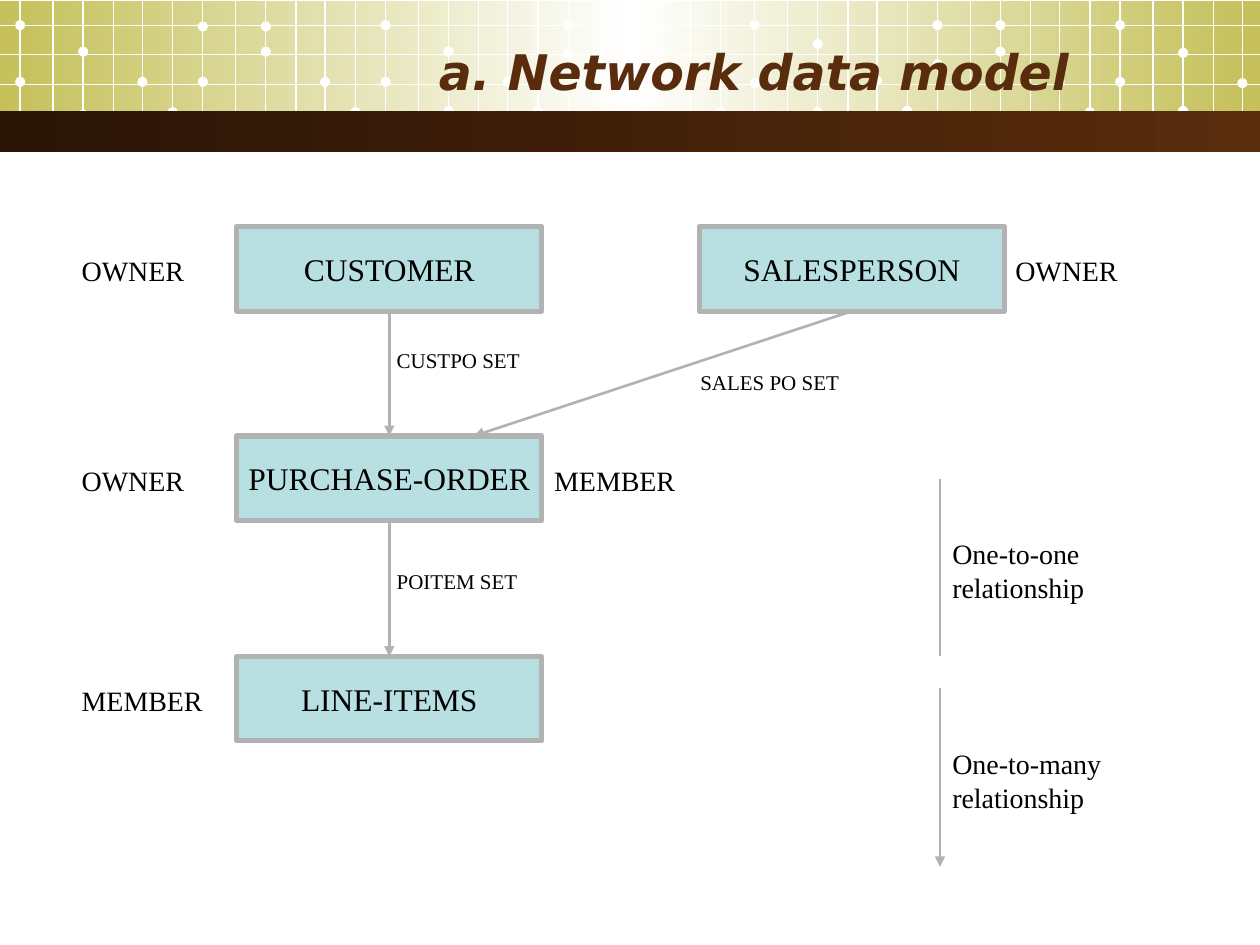
import copy

import pptx
import pptx.dml.color
import pptx.enum.shapes
import pptx.enum.text
import pptx.oxml.ns
import pptx.oxml.xmlchemy
import pptx.util
from pptx.util import Inches

SHAPE = pptx.enum.shapes.MSO_SHAPE
STRAIGHT = pptx.enum.shapes.MSO_CONNECTOR.STRAIGHT
ALIGN = pptx.enum.text.PP_ALIGN
ANCHOR = pptx.enum.text.MSO_ANCHOR
TOP, BOTTOM = 0, 2


def color(hex_string):
    return pptx.dml.color.RGBColor.from_string(hex_string)


def write(shape, text, size=16, font="Times New Roman", ink="000000", bold=False,
          italic=False, align=ALIGN.LEFT, anchor=ANCHOR.TOP, wrap=True):
    frame = shape.text_frame
    frame.word_wrap = wrap
    frame.vertical_anchor = anchor
    paragraph = frame.paragraphs[0]
    paragraph.alignment = align
    run = paragraph.add_run()
    run.text = text
    run.font.size = pptx.util.Pt(size)
    run.font.name = font
    run.font.bold = bold
    run.font.italic = italic
    run.font.color.rgb = color(ink)


deck = pptx.Presentation()
deck.slide_width, deck.slide_height = Inches(10), Inches(7.5)
slide = deck.slides.add_slide(deck.slide_layouts[6])
shapes = slide.shapes

# Header bands: the dark bar is added last so it covers the grid's lower edge
bands = [
    (0.01, 1.02, ["C5C059", "FFFFFF", "C5C059"]),
    (0.88, 0.33, ["291406", "592C0D"]),
]
for top, height, stops in bands:
    if top > 0.5:
        # White grid: groups of six columns, each with dots on columns 0, 2, 4 and 5
        columns = [0, 0.26, 0.5, 0.74, 0.97, 1.21]
        dot_columns = [0, 0, 2, 2, 4, 5]
        dot_tops = {
            0.16: [0.61, 0.16, 0.37, 0.87, 0.61, 0.85],
            1.61: [0.61, 0.17, 0.37, 0.17, 0.61, 0.85],
            3.06: [0.61, 0.16, 0.37, 0.84, 0.61, 0.84],
            4.51: [0.39, 0.16, 0.38, 0.16, 0.61, 0.85],
            5.99: [0.62, 0.16, 0.31, 0.85, 0.60, 0.84],
            7.44: [0.47, 0.16, 0.37, 0.16, 0.61, 0.85],
            8.89: [0.61, 0.16, 0.38, 0.84, 0.62],
        }
        grid = [(0, y, 10, y) for y in (0.2, 0.43, 0.67, 0.89)]
        grid += [(start + x, 0, start + x, 1.1)
                 for start in dot_tops for x in columns if start + x < 10]
        for ends in grid:
            grid_line = shapes.add_connector(STRAIGHT, *map(Inches, ends))
            grid_line.line.color.rgb = color("FFFFFF")
            grid_line.line.width = pptx.util.Pt(0.75)
        for start, tops in dot_tops.items():
            for column, dot_top in zip(dot_columns, tops):
                dot = shapes.add_shape(
                    SHAPE.OVAL, Inches(start + columns[column] - 0.04),
                    Inches(dot_top), Inches(0.08), Inches(0.08))
                dot.shadow.inherit = False
                dot.fill.solid()
                dot.fill.fore_color.rgb = color("FFFFFF")
                dot.line.fill.background()

    band = shapes.add_shape(SHAPE.RECTANGLE, 0, Inches(top), Inches(10), Inches(height))
    band.shadow.inherit = False
    band.line.fill.background()
    band.fill.gradient()
    band.fill.gradient_angle = 0
    stop_list = band.fill.gradient_stops[0]._gs.getparent()
    while len(stop_list) < len(stops):
        stop_list.append(copy.deepcopy(stop_list[0]))
    for i, stop in enumerate(band.fill.gradient_stops):
        stop.color.rgb = color(stops[i])
        stop.position = i / (len(stops) - 1)

# Title
title = shapes.add_textbox(Inches(0.5), Inches(0.25), Inches(8.08), Inches(0.62))
write(title, "a. Network data model", size=28, font="DejaVu Sans", ink="592C0D",
      bold=True, italic=True, align=ALIGN.RIGHT, anchor=ANCHOR.MIDDLE)

# Record types
records = {}
for name, left, top in [("CUSTOMER", 1.88, 1.8), ("PURCHASE-ORDER", 1.88, 3.46),
                        ("LINE-ITEMS", 1.88, 5.21), ("SALESPERSON", 5.55, 1.8)]:
    record = shapes.add_shape(SHAPE.RECTANGLE, Inches(left), Inches(top),
                              Inches(2.42), Inches(0.67))
    record.shadow.inherit = False
    record.fill.solid()
    record.fill.fore_color.rgb = color("B8E0E3")
    record.line.color.rgb = color("B2B2B2")
    record.line.width = pptx.util.Pt(3)
    write(record, name, size=18, align=ALIGN.CENTER, anchor=ANCHOR.MIDDLE, wrap=False)
    records[name] = record

# Sets between records, then the two legend lines: ends, owner, member, arrowhead
links = [
    ((3.09, 2.47, 3.09, 3.46), "CUSTOMER", "PURCHASE-ORDER", True),
    ((3.09, 4.13, 3.09, 5.21), "PURCHASE-ORDER", "LINE-ITEMS", True),
    ((6.76, 2.47, 3.76, 3.46), "SALESPERSON", None, True),
    ((7.46, 3.8, 7.46, 5.21), None, None, False),
    ((7.46, 5.46, 7.46, 6.88), None, None, True),
]
for ends, owner, member, has_arrow in links:
    link = shapes.add_connector(STRAIGHT, *map(Inches, ends))
    link.line.color.rgb = color("B2B2B2")
    link.line.width = pptx.util.Pt(1.5)
    if owner:
        link.begin_connect(records[owner], BOTTOM)
    if member:
        link.end_connect(records[member], TOP)
    if has_arrow:
        arrowhead = pptx.oxml.xmlchemy.OxmlElement("a:tailEnd")
        arrowhead.set("type", "triangle")
        link.line._get_or_add_ln().append(arrowhead)

# Role, set and legend labels
labels = [
    ("OWNER", 0.55, 1.96, 1.42, 0.37, 16),
    ("OWNER", 7.96, 1.96, 1.42, 0.37, 16),
    ("MEMBER", 4.3, 3.63, 1.42, 0.37, 16),
    ("OWNER", 0.55, 3.63, 1.42, 0.37, 16),
    ("MEMBER", 0.55, 5.38, 1.42, 0.37, 16),
    ("SALES PO SET", 5.46, 2.88, 1.5, 0.3, 12),
    ("CUSTPO SET", 3.05, 2.71, 1.25, 0.3, 12),
    ("POITEM SET", 3.05, 4.46, 1.25, 0.3, 12),
    ("One-to-many relationship", 7.46, 5.88, 1.92, 0.64, 16),
    ("One-to-one relationship", 7.46, 4.21, 1.92, 0.64, 16),
]
for text, left, top, width, height, size in labels:
    label = shapes.add_textbox(*map(Inches, (left, top, width, height)))
    write(label, text, size=size)

# Connectors cast no shadow
for connector in shapes._spTree.findall(pptx.oxml.ns.qn("p:cxnSp")):
    connector.spPr.append(pptx.oxml.xmlchemy.OxmlElement("a:effectLst"))

deck.save("out.pptx")
